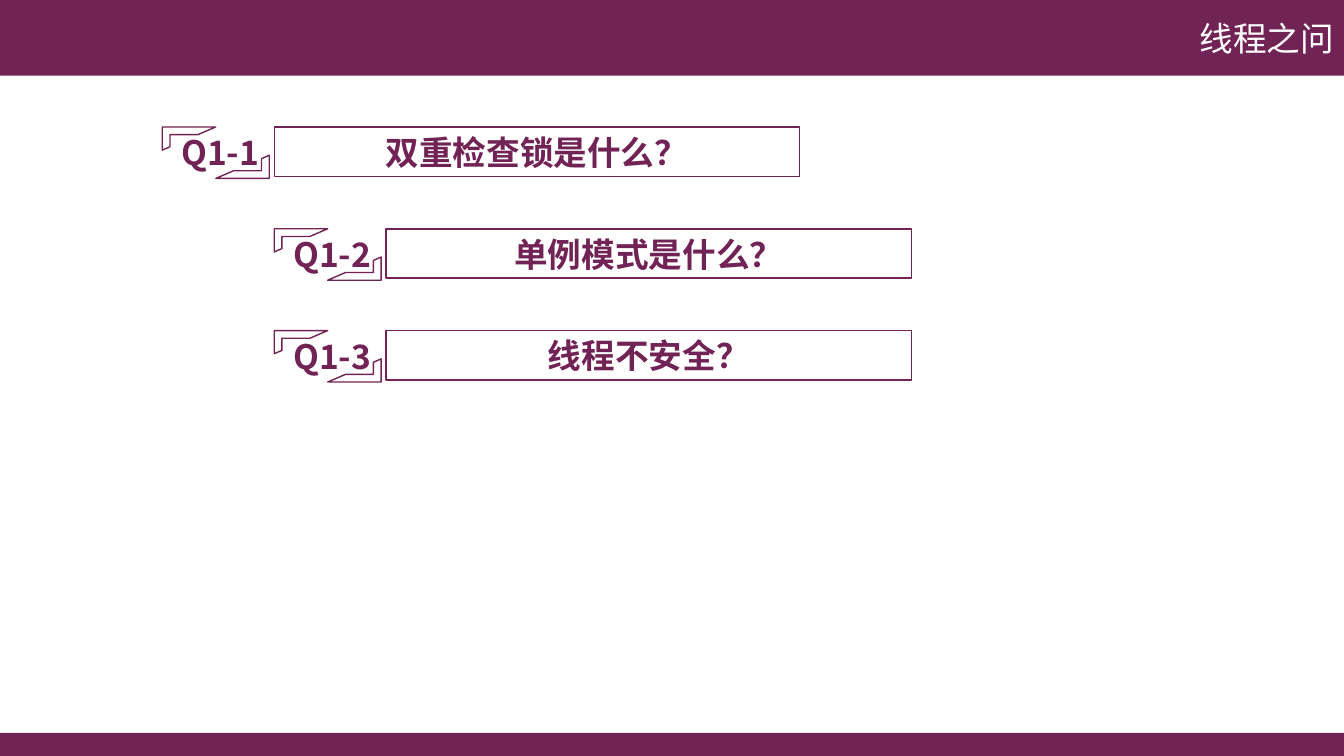
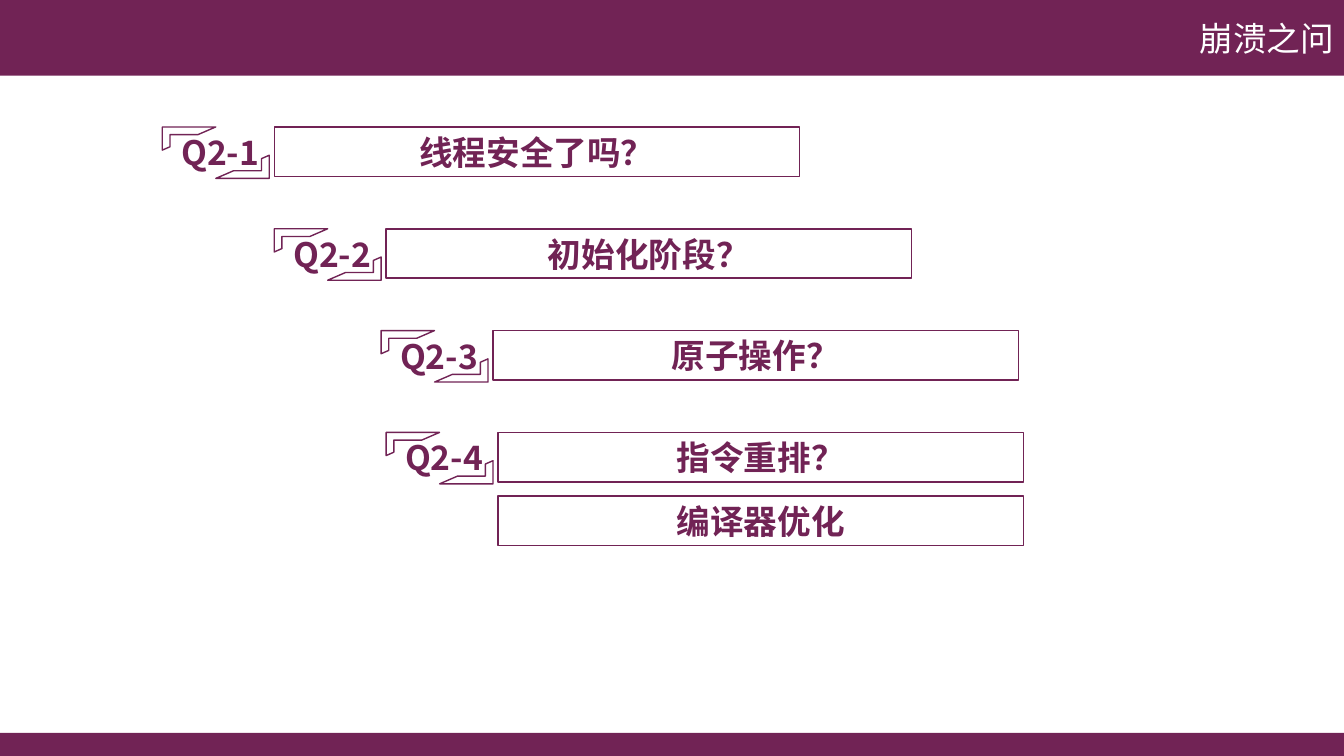
from dataclasses import dataclass

from lxml.etree import SubElement
from pptx import Presentation
from pptx.dml.color import RGBColor
from pptx.enum.shapes import MSO_SHAPE as Preset
from pptx.enum.text import MSO_ANCHOR as Anchor, MSO_AUTO_SIZE as AutoSize, PP_ALIGN as Align
from pptx.oxml.ns import qn
from pptx.util import Inches, Pt


@dataclass(frozen=True)
class Theme:
    """Colours, type and line sizes shared by the slides."""
    plum: RGBColor = RGBColor(0x71, 0x23, 0x55)
    white: RGBColor = RGBColor(0xFF, 0xFF, 0xFF)
    font: str = "Noto Sans CJK SC"
    text_size: Pt = Pt(24)
    outline: Pt = Pt(1)


THEME = Theme()
SLIDE_WIDTH, SLIDE_HEIGHT = Inches(13.33), Inches(7.5)
TITLE_HEIGHT, FOOTER_HEIGHT = Inches(0.75), Inches(0.23)
FIRST_TOP, ROW_STEP = Inches(1.26), Inches(1.01)
BOX_OFFSET, BOX_WIDTH, BOX_HEIGHT = Inches(1.11), Inches(5.21), Inches(0.49)
BOX_STEP = Inches(0.63)
CORNER_WIDTH, CORNER_HEIGHT, CORNER_DROP = Inches(0.53), Inches(0.23), Inches(0.28)
LABEL_INSET, LABEL_WIDTH, LABEL_HEIGHT = Inches(0.09), Inches(1), Inches(0.5)

# Each question: left edge in inches, label, boxed lines.
SLIDES = [
    ("线程之问", [
        (1.61, "Q1-1", ["双重检查锁是什么？"]),
        (2.72, "Q1-2", ["单例模式是什么？"]),
        (2.72, "Q1-3", ["线程不安全？"]),
    ]),
    ("崩溃之问", [
        (1.61, "Q2-1", ["线程安全了吗？"]),
        (2.72, "Q2-2", ["初始化阶段？"]),
        (3.78, "Q2-3", ["原子操作？"]),
        (3.83, "Q2-4", ["指令重排？", "编译器优化"]),
    ]),
]


def write_text(shape, text, color, align, bold=False):
    """Write one styled run into the shape's first paragraph."""
    paragraph = shape.text_frame.paragraphs[0]
    paragraph.alignment = align
    run = paragraph.add_run()
    run.text = text
    run.font.size = THEME.text_size
    run.font.bold = bold
    run.font.color.rgb = color
    run.font.name = THEME.font
    east_asian = SubElement(run._r.get_or_add_rPr(), qn("a:ea"))
    east_asian.set("typeface", THEME.font)


def add_preset(slide, preset, left, top, width, height, fill, line=None):
    """Add a flat preset shape, outlined only when a line colour is given."""
    shape = slide.shapes.add_shape(preset, left, top, width, height)
    shape.shadow.inherit = False
    shape.fill.solid()
    shape.fill.fore_color.rgb = fill
    if line is None:
        shape.line.fill.background()
    else:
        shape.line.color.rgb = line
        shape.line.width = THEME.outline
    return shape


def style_title_band(layout):
    """Turn the layout's title placeholder into the top band."""
    title = next(item for item in layout.placeholders
                 if item.placeholder_format.idx == 0)
    title.left, title.top = Inches(0), Inches(0)
    title.width, title.height = SLIDE_WIDTH, TITLE_HEIGHT
    title.fill.solid()
    title.fill.fore_color.rgb = THEME.plum
    title.text_frame.vertical_anchor = Anchor.MIDDLE


def add_frame(slide, title, layout):
    """Add a slide with its title and the footer band."""
    slide = slide.add_slide(layout)
    write_text(slide.shapes.title, title, THEME.white, Align.RIGHT)
    add_preset(slide, Preset.RECTANGLE, Inches(0), SLIDE_HEIGHT - FOOTER_HEIGHT,
               SLIDE_WIDTH, FOOTER_HEIGHT, THEME.plum)
    return slide


def add_label(slide, left, top, text):
    """Add a question number between two opposite corner brackets."""
    for step, rotation in enumerate((0, 180)):
        corner = add_preset(slide, Preset.HALF_FRAME, left + step * CORNER_WIDTH,
                            top + step * CORNER_DROP, CORNER_WIDTH, CORNER_HEIGHT,
                            THEME.white, THEME.plum)
        corner.rotation = rotation
    label = slide.shapes.add_textbox(left + LABEL_INSET, top, LABEL_WIDTH, LABEL_HEIGHT)
    label.text_frame.word_wrap = False
    label.text_frame.auto_size = AutoSize.SHAPE_TO_FIT_TEXT
    write_text(label, text, THEME.plum, Align.LEFT, bold=True)


def add_question(slide, left, top, label, lines):
    """Add a labelled question with its boxes stacked below each other."""
    for index, line in enumerate(lines):
        box = add_preset(slide, Preset.RECTANGLE, left + BOX_OFFSET,
                         top + index * BOX_STEP, BOX_WIDTH, BOX_HEIGHT,
                         THEME.white, THEME.plum)
        box.text_frame.vertical_anchor = Anchor.MIDDLE
        write_text(box, line, THEME.plum, Align.CENTER, bold=True)
    add_label(slide, left, top, label)


def main():
    """Build and save the presentation."""
    presentation = Presentation()
    presentation.slide_width, presentation.slide_height = SLIDE_WIDTH, SLIDE_HEIGHT
    layout = presentation.slide_layouts.get_by_name("Title Only")
    style_title_band(layout)
    for title, questions in SLIDES:
        slide = add_frame(presentation.slides, title, layout)
        for row, (left, label, lines) in enumerate(questions):
            add_question(slide, Inches(left), FIRST_TOP + row * ROW_STEP, label, lines)
    presentation.save("out.pptx")


main()
